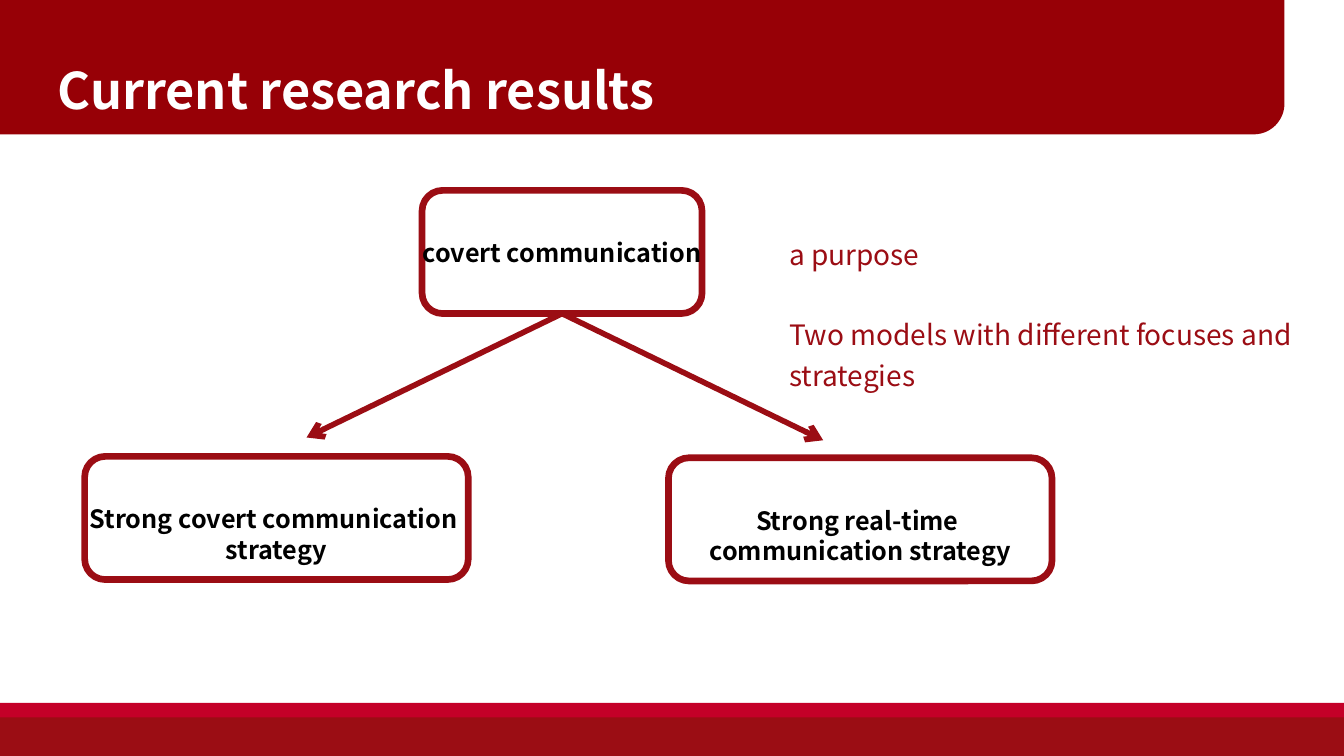
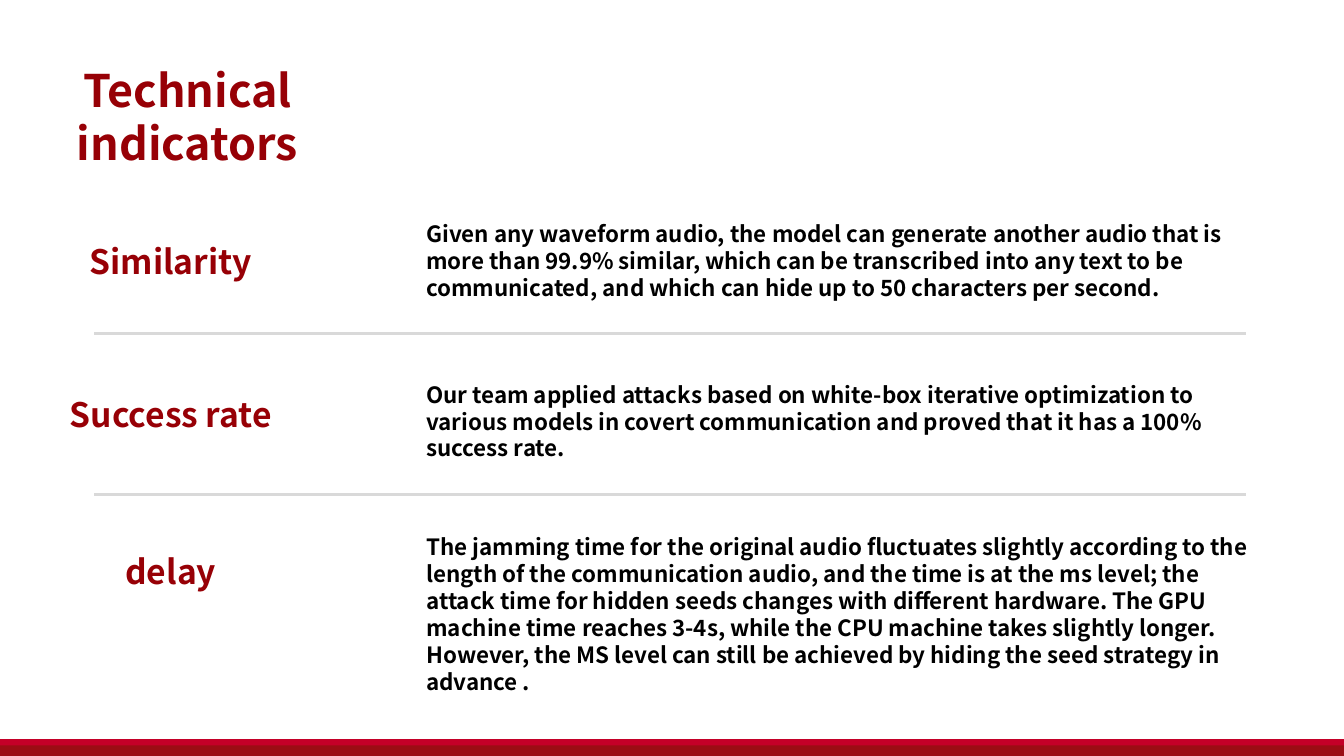
"""Build two slides on covert communication: research results and technical indicators."""
from lxml.etree import SubElement
from pptx import Presentation
from pptx.dml.color import RGBColor
from pptx.enum.shapes import MSO_CONNECTOR, MSO_SHAPE
from pptx.enum.text import MSO_ANCHOR, PP_ALIGN
from pptx.oxml.ns import qn
from pptx.util import Pt

FONT = "Noto Sans CJK SC"
SLIDE_WIDTH, SLIDE_HEIGHT = 960, 540
COLORS = {
    "banner": "970006",
    "crimson": "9B0D14",
    "bright": "C40028",
    "divider": "D9D9D9",
    "white": "FFFFFF",
    "black": "000000",
}
ROWS = [
    (168.5, "Similarity", 154,
     "Given any waveform audio, the model can generate another audio that is more than 99.9% "
     "similar, which can be transcribed into any text to be communicated, and which can hide "
     "up to 50 characters per second."),
    (278, "Success rate", 268.5,
     "Our team applied attacks based on white-box iterative optimization to various models in "
     "covert communication and proved that it has a 100% success rate."),
    (390, "delay", 377.5,
     "The jamming time for the original audio fluctuates slightly according to the length of "
     "the communication audio, and the time is at the ms level; the attack time for hidden "
     "seeds changes with different hardware. The GPU machine time reaches 3-4s, while the CPU "
     "machine takes slightly longer. However, the MS level can still be achieved by hiding "
     "the seed strategy in advance ."),
]


def rgb(name):
    return RGBColor.from_string(COLORS[name])


def write_text(frame, text, size=16, color="black", bold=True, align=PP_ALIGN.LEFT,
               wrap=True, line_spacing=None, gap=0):
    frame.word_wrap = wrap
    frame.vertical_anchor = MSO_ANCHOR.TOP
    for index, line in enumerate(text.split("\n")):
        paragraph = frame.add_paragraph() if index else frame.paragraphs[0]
        paragraph.alignment = align
        if line_spacing:
            paragraph.line_spacing = line_spacing
        if index and gap:
            paragraph.space_before = Pt(gap)
        run = paragraph.add_run()
        run.text = line
        run.font.name = FONT
        run.font.size = Pt(size)
        run.font.bold = bold
        run.font.color.rgb = rgb(color)


def add_text(slide, left, top, width, height, text, **text_format):
    box = slide.shapes.add_textbox(Pt(left), Pt(top), Pt(width), Pt(height))
    write_text(box.text_frame, text, **text_format)


def add_block(slide, kind, left, top, width, height, fill, line=None):
    shape = slide.shapes.add_shape(kind, Pt(left), Pt(top), Pt(width), Pt(height))
    shape.shadow.inherit = False
    shape.fill.solid()
    shape.fill.fore_color.rgb = rgb(fill)
    if line:
        shape.line.color.rgb = rgb(line)
        shape.line.width = Pt(4.75)
    else:
        shape.line.fill.background()
    return shape


def add_node(slide, left, top, width, text):
    node = add_block(slide, MSO_SHAPE.ROUNDED_RECTANGLE, left, top, width, 88,
                     "white", line="crimson")
    node.text_frame.margin_top = Pt(29.5)
    write_text(node.text_frame, text, size=18, align=PP_ALIGN.CENTER, wrap=False)
    return node


def add_line(slide, start, end, color, weight, source=None, arrow=False):
    points = [Pt(value) for value in (*start, *end)]
    connector = slide.shapes.add_connector(MSO_CONNECTOR.STRAIGHT, *points)
    if source is not None:
        connector.begin_connect(source, 2)
    connector.line.color.rgb = rgb(color)
    connector.line.width = Pt(weight)
    if arrow:
        SubElement(connector.line._get_or_add_ln(), qn("a:tailEnd"), type="arrow")
    SubElement(connector._element.spPr, qn("a:effectLst"))


def add_footer(slide, top, stripe):
    for color, start in (("bright", top), ("crimson", top + stripe)):
        add_block(slide, MSO_SHAPE.RECTANGLE, 0, start, SLIDE_WIDTH,
                  SLIDE_HEIGHT - start, color)


def add_title(slide, left, top, width, height, text, size, color):
    add_text(slide, left, top, width, height, text, size=size, color=color,
             align=PP_ALIGN.CENTER)


def build_results(slide):
    add_block(slide, MSO_SHAPE.ROUNDED_RECTANGLE, -22.5, -36, 940, 132, "banner")
    add_title(slide, 17.5, 39, 474, 51, "Current research results", 36, "white")
    add_node(slide, 60.5, 326, 274, "Strong covert communication \nstrategy")
    add_node(slide, 477.5, 327, 274, "Strong real-time \ncommunication strategy")
    purpose = add_node(slide, 301.5, 136, 200, "covert communication")
    for tip in ((219, 312.5), (588, 314.5)):
        add_line(slide, (401.5, 224), tip, "crimson", 4, source=purpose, arrow=True)
    add_footer(slide, 502, 10.5)
    add_text(slide, 556.5, 161.5, 392, 121,
             "a purpose\nTwo models with different focuses and strategies",
             size=20, color="crimson", bold=False, line_spacing=1.2, gap=28.5)


def build_indicators(slide):
    add_title(slide, 41, 41, 186, 84, "Technical indicators", 32, "banner")
    add_footer(slide, 528, 4.5)
    for label_top, label, body_top, body in ROWS:
        add_title(slide, 29, label_top, 186, 36, label, 24, "banner")
        add_text(slide, 297.5, body_top, 601, 65, body)
    for height in (238.5, 353.5):
        add_line(slide, (67.5, height), (890, height), "divider", 2.25)


def main():
    presentation = Presentation()
    presentation.slide_width = Pt(SLIDE_WIDTH)
    presentation.slide_height = Pt(SLIDE_HEIGHT)
    for build in (build_results, build_indicators):
        build(presentation.slides.add_slide(presentation.slide_layouts[6]))
    presentation.save("out.pptx")


if __name__ == "__main__":
    main()
